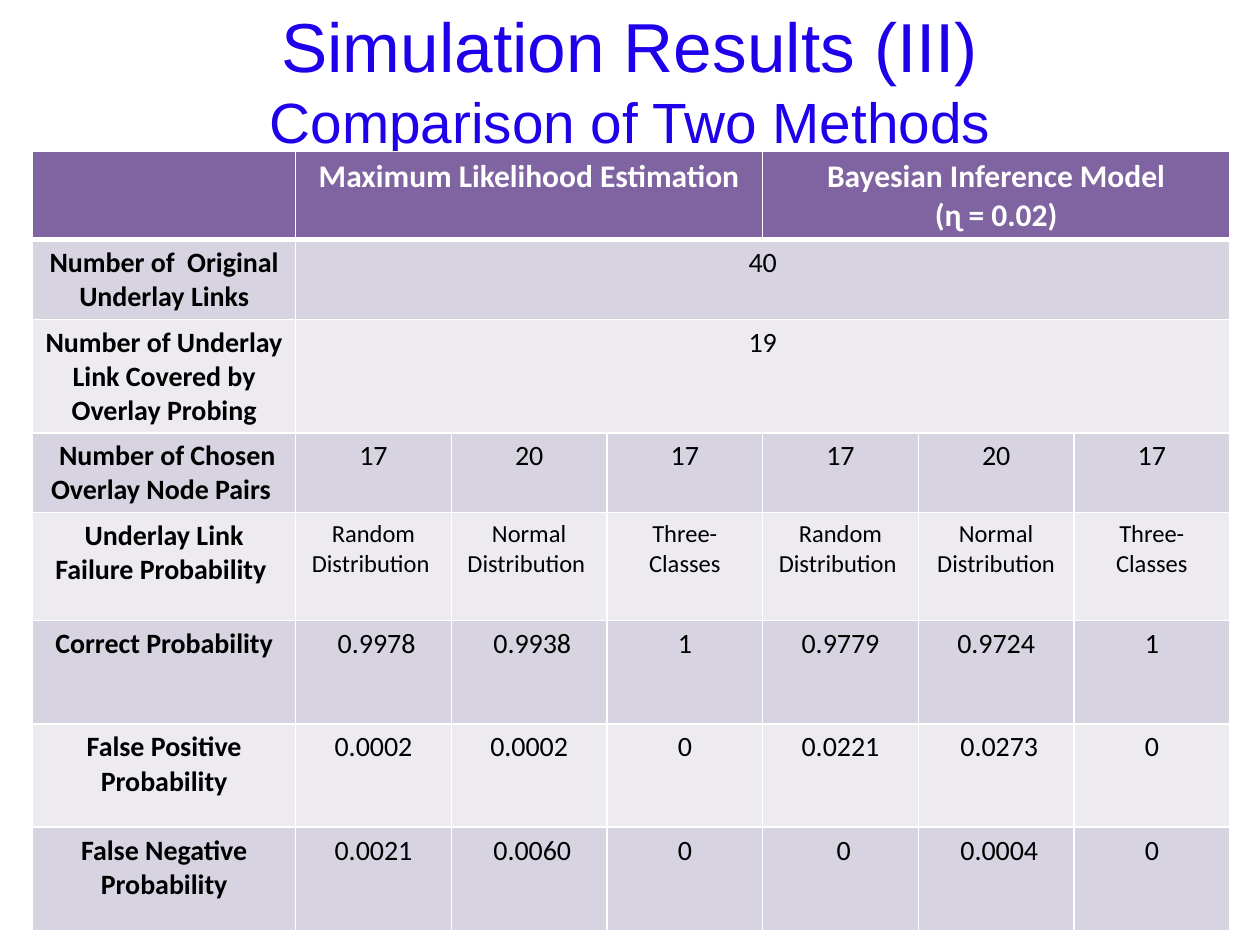
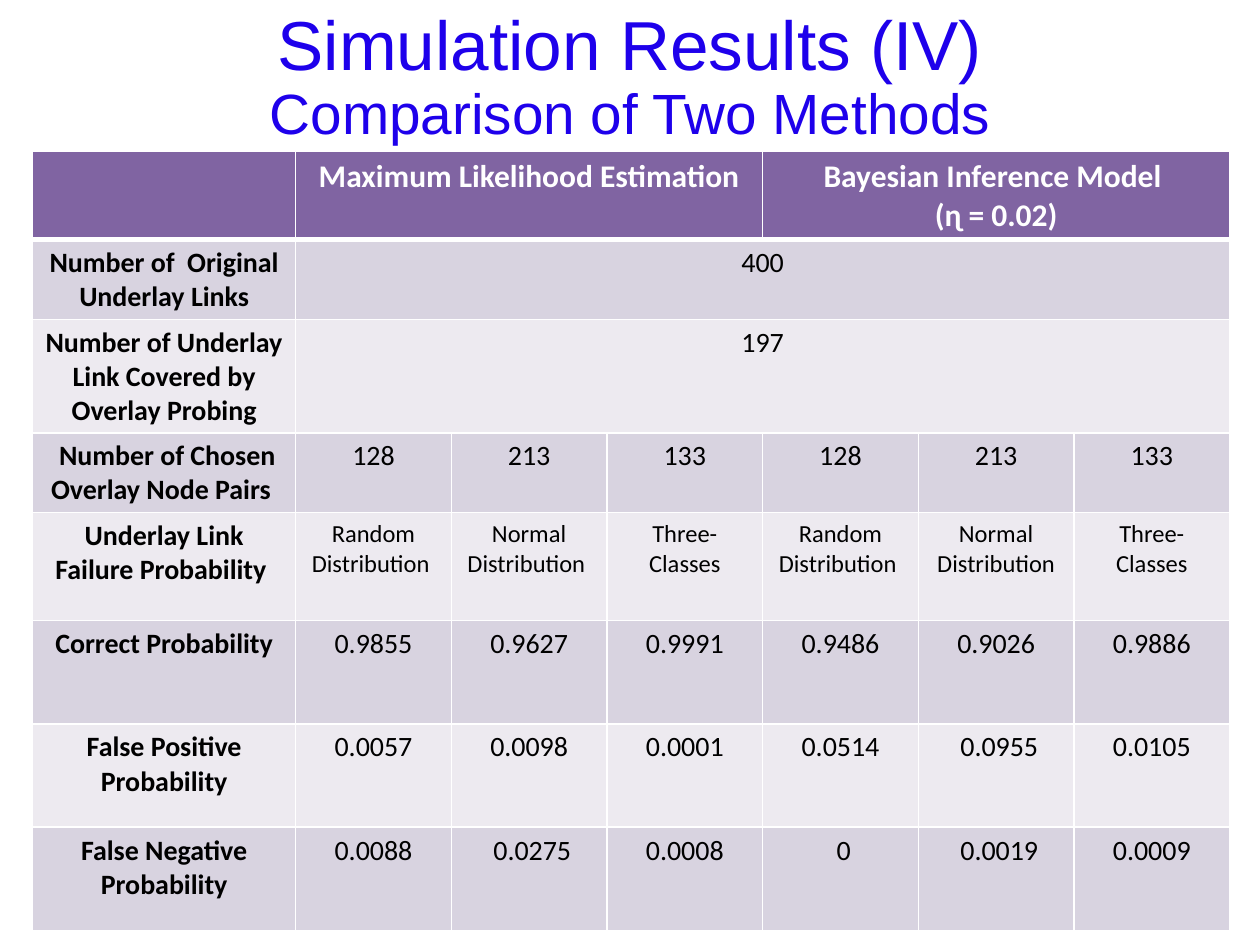
from dataclasses import dataclass
from lxml.etree import SubElement
from pptx import Presentation
from pptx.dml.color import RGBColor as RGB
from pptx.enum.text import MSO_ANCHOR as Anchor, PP_ALIGN as Align
from pptx.oxml.ns import qn
from pptx.util import Cm, Pt

# Content: each slide gives its title, its counts and its results
SUBTITLE = "Comparison of Two Methods"
METHOD = "Maximum Likelihood Estimation"
LABELS = [
    "Number of  Original Underlay Links",
    "Number of Underlay Link Covered by Overlay Probing",
    " Number of Chosen Overlay Node Pairs ",
    "Underlay Link Failure Probability ",
    "Correct Probability",
    "False Positive Probability",
    "False Negative Probability",
]
MODELS = ["Random Distribution ", "Normal Distribution ", "Three-Classes",
          "Random Distribution ", "Normal Distribution", "Three-Classes"]
SLIDES = [
    {
        "title": "Simulation Results (III)",
        "spacing": 1.0,
        "title_first": True,
        "bayes": "Bayesian Inference Model\n(ɳ = 0.02)",
        "links": "40",
        "covered": "19",
        "pairs": ["17", "20", "17"],
        "results": [
            [" 0.9978", " 0.9938", "1", "0.9779", "0.9724", "1"],
            ["0.0002", "0.0002", "0", "0.0221", " 0.0273", "0"],
            ["0.0021", " 0.0060", "0", " 0", " 0.0004", "0"],
        ],
    },
    {
        "title": "Simulation Results (IV)",
        "spacing": 0.9,
        "title_first": False,
        "bayes": "Bayesian Inference Model \n(ɳ = 0.02)",
        "links": "400",
        "covered": "197",
        "pairs": ["128", "213", "133"],
        "results": [
            ["0.9855", "0.9627", "0.9991", "0.9486", "0.9026", "0.9886"],
            ["0.0057", "0.0098", "0.0001", "0.0514", " 0.0955", "0.0105"],
            ["0.0088", " 0.0275", "0.0008", " 0", " 0.0019", "0.0009"],
        ],
    },
]


@dataclass
class Theme:
    title: str = "1E00EB"
    head: str = "8064A2"
    bands: tuple = ("EDEAF0", "D8D3E0")
    line: str = "FFFFFF"
    light: str = "FFFFFF"
    dark: str = "000000"
    title_font: str = "Arial"
    cell_font: str = "Calibri"
    title_size: float = 39.6
    sub_size: float = 32.4
    head_size: float = 18
    cell_size: float = 16
    model_size: float = 14
    thin: float = 1
    thick: float = 3


THEME = Theme()

# Table grid in centimetres
LEFT, TOP, WIDTH, HEIGHT = 0.66, 3.05, 24.13, 16.41
LABEL_W = 5.3
ROWS = [1.7, 1.07, 1.07, 1.52, 2.18, 2.08, 2.08, 2.08]
SPANS = [(0, 1, 3), (0, 4, 6), (1, 1, 6), (2, 1, 6)]
MODEL_ROW = 4


def style(font, face, size, color, bold=False):
    font.name, font.size, font.bold = face, Pt(size), bold
    font.color.rgb = RGB.from_string(color)


def add_title(slide, data):
    box = slide.shapes.add_textbox(Cm(1.27), Cm(0), Cm(22.86), Cm(3.18))
    frame = box.text_frame
    frame.word_wrap = True
    frame.vertical_anchor = Anchor.MIDDLE
    frame.text = data["title"] + "\v" + SUBTITLE
    para = frame.paragraphs[0]
    para.alignment = Align.CENTER
    para.line_spacing = data["spacing"]
    for run, size in zip(para.runs, (THEME.title_size, THEME.sub_size)):
        style(run.font, THEME.title_font, size, THEME.title)


def add_edges(cell, row):
    """Draw the cell borders, thick where the header meets the body."""
    props = cell._tc.get_or_add_tcPr()
    heavy = {"lnB": 0, "lnT": 1}
    for side in ("lnL", "lnR", "lnT", "lnB"):
        width = THEME.thick if heavy.get(side) == row else THEME.thin
        edge = SubElement(props, qn("a:" + side), w=str(Pt(width)))
        fill = SubElement(edge, qn("a:solidFill"))
        SubElement(fill, qn("a:srgbClr"), val=THEME.line)


def fill_cell(cell, text, row, col):
    head = row == 0
    add_edges(cell, row)
    cell.fill.solid()
    cell.fill.fore_color.rgb = RGB.from_string(
        THEME.head if head else THEME.bands[row % 2])
    if not text:
        return
    if head:
        size = THEME.head_size
    else:
        size = THEME.model_size if row == MODEL_ROW and col else THEME.cell_size
    cell.text_frame.text = text
    for para in cell.text_frame.paragraphs:
        para.alignment = Align.CENTER
        for run in para.runs:
            style(run.font, THEME.cell_font, size,
                  THEME.light if head else THEME.dark, head or col == 0)


def get_rows(data):
    """Join labels and values into a full grid of texts."""
    blank = [""] * 5
    body = [[data["links"]] + blank, [data["covered"]] + blank,
            data["pairs"] * 2, MODELS] + data["results"]
    head = ["", METHOD, "", "", data["bayes"], "", ""]
    return [head] + [[label] + cells for label, cells in zip(LABELS, body)]


def add_grid(slide, data):
    texts = get_rows(data)
    count = len(texts[0])
    frame = slide.shapes.add_table(
        len(texts), count, Cm(LEFT), Cm(TOP), Cm(WIDTH), Cm(HEIGHT))
    table = frame.table
    for i, col in enumerate(table.columns):
        col.width = Cm((WIDTH - LABEL_W) / (count - 1) if i else LABEL_W)
    for row, height in zip(table.rows, ROWS):
        row.height = Cm(height)
    frame.height = Cm(HEIGHT)
    for row, first, last in SPANS:
        table.cell(row, first).merge(table.cell(row, last))
    for r, line in enumerate(texts):
        for c, text in enumerate(line):
            fill_cell(table.cell(r, c), text, r, c)


def main():
    deck = Presentation()
    deck.slide_width, deck.slide_height = Cm(25.4), Cm(19.05)
    for data in SLIDES:
        slide = deck.slides.add_slide(deck.slide_layouts[6])
        # The title lies below the table on one slide, above it on the other
        steps = [add_title, add_grid]
        for step in steps if data["title_first"] else reversed(steps):
            step(slide, data)
    deck.save("out.pptx")


if __name__ == "__main__":
    main()
